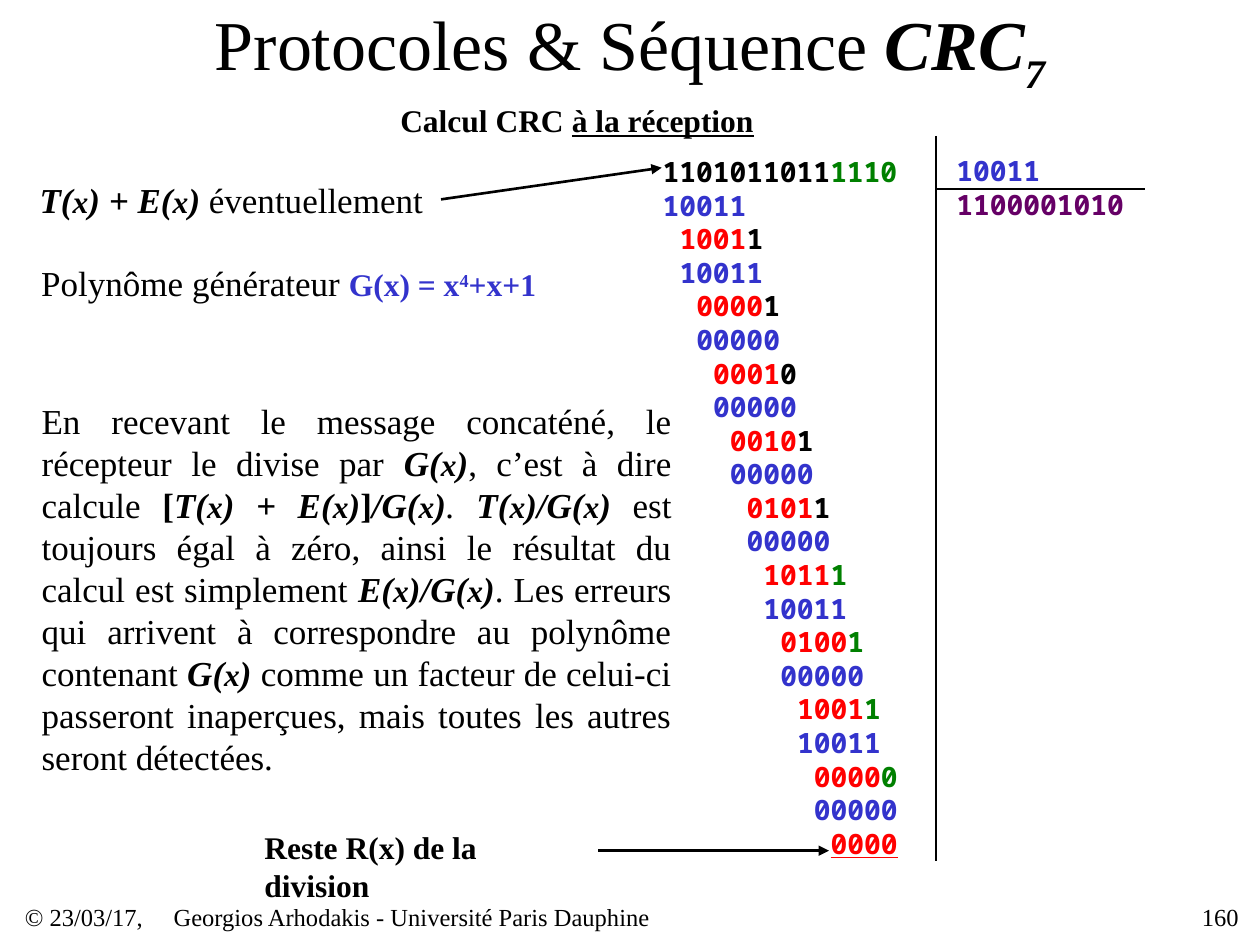
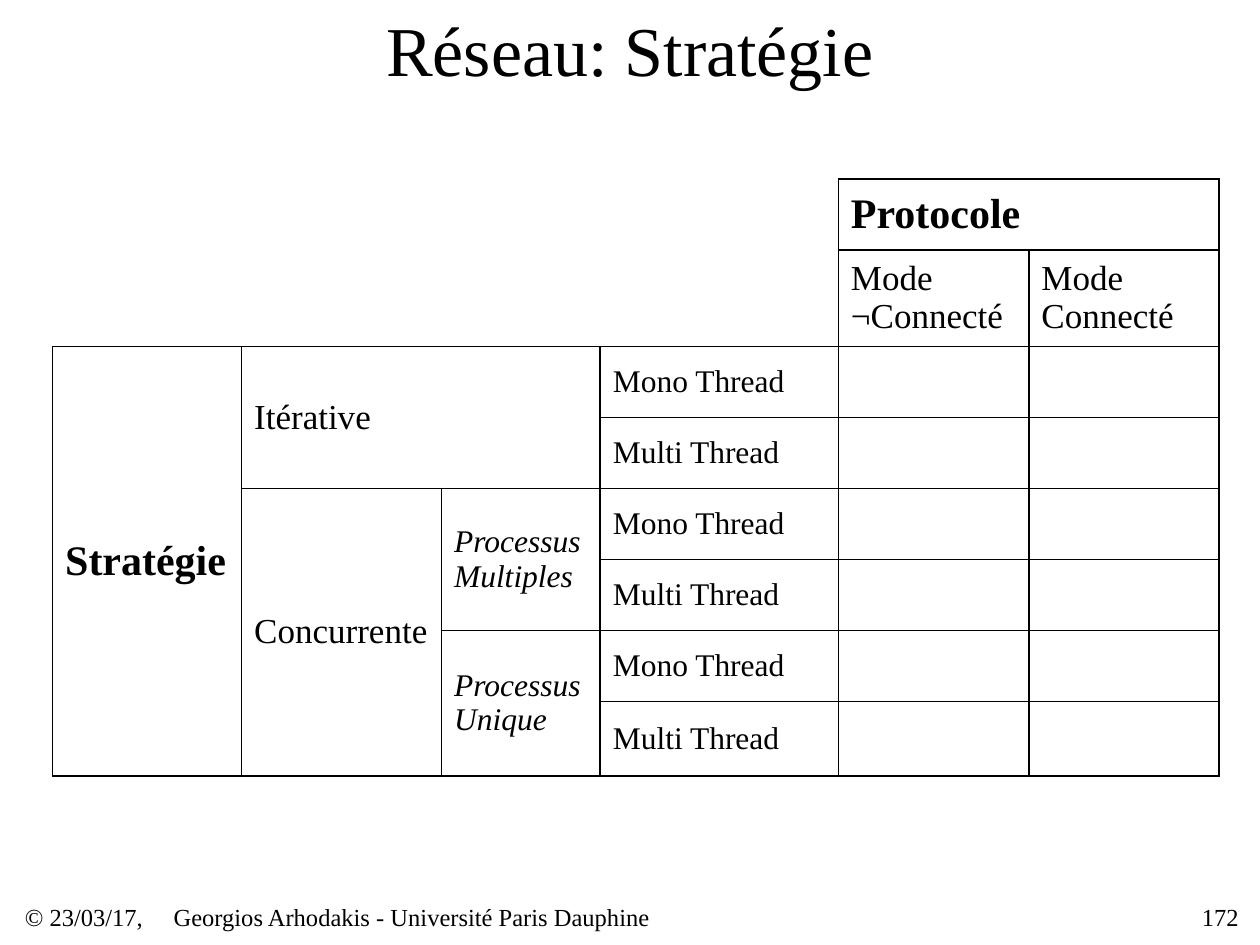
from lxml.etree import SubElement
from pptx import Presentation
from pptx.dml.color import RGBColor
from pptx.enum.shapes import MSO_CONNECTOR
from pptx.enum.text import MSO_ANCHOR, MSO_AUTO_SIZE, PP_ALIGN
from pptx.oxml.ns import qn
from pptx.util import Cm, Pt

SERIF, MONO = "Times New Roman", "Noto Sans Mono"
BLACK, BLUE, RED, GREEN, PURPLE = "000000", "3333CC", "FF0000", "008000", "660066"
MONO_SIZE = 16
MONO_CHARACTER = 0.6 * MONO_SIZE
BOLD = {"bold": True}
MATH = {"bold": True, "italic": True}


def color(value):
    return RGBColor.from_string(value)


def formula(expression):
    """Split an expression into bold italic runs with a smaller x."""
    runs = []
    for index, part in enumerate(expression.split("x")):
        if index:
            runs.append(("x", {**MATH, "size": 18}))
        runs.append((part, MATH))
    return runs


class Deck:
    """Holds the shared style and the slide being filled."""

    def __init__(self):
        self.presentation = Presentation()
        self.presentation.slide_width = Cm(25.4)
        self.presentation.slide_height = Cm(19.05)
        self.slide = None

    def start_slide(self, title_runs, number):
        self.slide = self.presentation.slides.add_slide(self.presentation.slide_layouts[6])
        self.text((1.9, 0, 21.6, 1.96), [title_runs], size=40, align=PP_ALIGN.CENTER,
                  anchor=MSO_ANCHOR.MIDDLE, margins=(0.25, 0.13))
        author = "Georgios Arhodakis - Université Paris Dauphine"
        for left, width, words, align in (
                (0.5, 3, "© 23/03/17,", PP_ALIGN.LEFT),
                (3.5, 15, author, PP_ALIGN.LEFT),
                (22.48, 2.49, str(number), PP_ALIGN.RIGHT)):
            self.text((left, 18.18, width, 0.62), [[(words, {})]], size=14, align=align,
                      anchor=MSO_ANCHOR.MIDDLE, grow=False)

    def add_run(self, paragraph, words, size, name=SERIF, fill=BLACK, bold=False,
                italic=False, underline=False, baseline=0):
        run = paragraph.add_run()
        run.text = words
        font = run.font
        font.size, font.name, font.bold, font.italic = Pt(size), name, bold, italic
        font.color.rgb = color(fill)
        if underline:
            font.underline = True
        if baseline:
            run._r.get_or_add_rPr().set("baseline", str(baseline * 1000))

    def text(self, box, paragraphs, size=20, name=SERIF, align=PP_ALIGN.LEFT,
             anchor=MSO_ANCHOR.TOP, margins=(0, 0), wrap=True, grow=True,
             spacing=None, indents=None):
        """Add a text box; each paragraph is a list of (words, style) runs."""
        frame = self.slide.shapes.add_textbox(*map(Cm, box)).text_frame
        frame.word_wrap = wrap
        frame.vertical_anchor = anchor
        frame.auto_size = MSO_AUTO_SIZE.SHAPE_TO_FIT_TEXT if grow else MSO_AUTO_SIZE.NONE
        frame.margin_left = frame.margin_right = Cm(margins[0])
        frame.margin_top = frame.margin_bottom = Cm(margins[1])
        for index, runs in enumerate(paragraphs):
            paragraph = frame.add_paragraph() if index else frame.paragraphs[0]
            paragraph.alignment = align
            if spacing:
                paragraph.line_spacing = Pt(spacing)
            if indents:
                paragraph._p.get_or_add_pPr().set("marL", str(Pt(indents[index])))
            for words, style in runs:
                self.add_run(paragraph, words, **{"size": size, "name": name, **style})

    def label(self, box, runs):
        self.text(box, [runs], size=18, margins=(0.25, 0.13), wrap=False)

    def statement(self, box, runs, **options):
        options = {"align": PP_ALIGN.CENTER, **options}
        self.text(box, [runs], anchor=MSO_ANCHOR.MIDDLE, **options)

    def digits(self, box, rows, indents=None):
        self.text(box, rows, size=MONO_SIZE, name=MONO, anchor=MSO_ANCHOR.MIDDLE,
                  spacing=1.2 * MONO_SIZE, indents=indents)

    def line(self, start, end, width=1, arrow=False):
        connector = self.slide.shapes.add_connector(
            MSO_CONNECTOR.STRAIGHT, *map(Cm, start + end))
        connector.line.color.rgb = color(BLACK)
        connector.line.width = Pt(width)
        if arrow:
            SubElement(connector.line._get_or_add_ln(), qn("a:tailEnd"), type="triangle")
        SubElement(connector._element.spPr, qn("a:effectLst"))

    def table(self, left, top, widths, heights):
        frame = self.slide.shapes.add_table(
            len(heights), len(widths), Cm(left), Cm(top), Cm(sum(widths)), Cm(sum(heights)))
        table = frame.table
        table.first_row = table.horz_banding = False
        for column, width in zip(table.columns, widths):
            column.width = Cm(width)
        for row, height in zip(table.rows, heights):
            row.height = Cm(height)
        return table

    def cell_borders(self, cell, sides):
        """Draw the named sides (L, R, T, B) and clear the others and the fill."""
        properties = cell._tc.get_or_add_tcPr()
        for side in "LRTB":
            border = SubElement(properties, qn(f"a:ln{side}"), w=str(Pt(1)))
            if side in sides:
                fill = SubElement(border, qn("a:solidFill"))
                SubElement(fill, qn("a:srgbClr"), val=BLACK)
            else:
                SubElement(border, qn("a:noFill"))
        cell.fill.background()

    def cell_text(self, cell, words, size, **style):
        cell.vertical_anchor = MSO_ANCHOR.MIDDLE
        paragraph = cell.text_frame.paragraphs[0]
        paragraph.line_spacing = Pt(round(1.09 * size, 1))
        self.add_run(paragraph, words, size, **style)


def divide(message, check, generator):
    """Return the rows of the long division, their indents and the quotient."""
    bits, length = message + check, len(generator)
    rows = [[(message, {**BOLD}), (check, {**BOLD, "fill": GREEN})]]
    indents, quotient, current = [0], "", bits[:length]
    for step in range(len(bits) - length + 1):
        quotient += current[0]
        subtracted = generator if current[0] == "1" else "0" * length
        rows.append([(subtracted, {**BOLD, "fill": BLUE})])
        rest = "".join(str(int(a != b)) for a, b in zip(current, subtracted))[1:]
        position = step + length
        next_bit = bits[position:position + 1]
        row = [(rest, {**BOLD, "fill": RED, "underline": not next_bit})]
        if next_bit:
            row.append((next_bit, {**BOLD, "fill": BLACK if position < len(message) else GREEN}))
        rows.append(row)
        indents += [step, step + 1]
        current = rest + next_bit
    return rows, [indent * MONO_CHARACTER for indent in indents], quotient


def build_crc_slide(deck):
    deck.start_slide([("Protocoles & Séquence ", {}), ("CRC", MATH),
                      ("7", {**MATH, "baseline": -25})], 160)
    deck.label((7.82, 1.9, 7.65, 1.02),
               [("Calcul CRC ", BOLD), ("à la réception", {**BOLD, "underline": True})])
    generator_style = {**BOLD, "size": 18, "fill": BLUE}
    deck.statement((0.64, 5.28, 10.36, 0.84), [
        ("Polynôme générateur ", {}), ("G(x) = x", generator_style),
        ("4", {**generator_style, "baseline": 30}), ("+x+1", generator_style)])

    generator = "10011"
    rows, indents, quotient = divide("1101011011", "1110", generator)
    deck.digits((13.36, 3.1, 5.26, 14.25), rows, indents)
    deck.digits((19.28, 3.1, 5.26, 1.35), [[(generator, {**BOLD, "fill": BLUE})],
                                           [(quotient, {**BOLD, "fill": PURPLE})]])
    deck.line((18.87, 2.74), (18.87, 17.35))
    deck.line((18.87, 3.81), (23.09, 3.81))

    deck.label((5.08, 16.56, 7.06, 1.02), [("Reste R(x) de la division", BOLD)])
    deck.line((12.06, 17.15), (16.71, 17.15), 1.5, arrow=True)
    deck.statement((0.64, 3.6, 8.05, 0.84),
                   formula("T(x) + E(x)") + [(" éventuellement", {})])
    deck.line((8.89, 4.02), (13.34, 3.38), 1.5, arrow=True)
    deck.statement((0.84, 8.05, 12.7, 7.62), [
        ("En recevant le message concaténé, le récepteur le divise par ", {}),
        *formula("G(x)"), (", c’est à dire calcule ", {}),
        ("[", BOLD), *formula("T(x) + E(x)"), ("]", BOLD), *formula("/G(x)"),
        (". ", {"italic": True}), *formula("T(x)/G(x)"),
        (" est toujours égal à zéro, ainsi le résultat du calcul est simplement ", {}),
        *formula("E(x)/G(x)"),
        (". Les erreurs qui arrivent à correspondre au polynôme contenant ", {}),
        *formula("G(x)"),
        (" comme un facteur de celui-ci passeront inaperçues, mais toutes les autres "
         "seront détectées.", {})], align=PP_ALIGN.JUSTIFY, spacing=24)


def build_strategy_slide(deck):
    deck.start_slide([("Réseau: Stratégie", {})], 172)
    header_rows, label_columns = 2, 4
    widths = [3.81, 4.03, 3.2, 4.8, 3.84, 3.83]
    heights = [1.43, 1.95] + [1.43] * 5 + [1.5]
    table = deck.table(1.06, 3.61, widths, heights)

    for row in range(len(heights)):
        for column in range(len(widths)):
            sides = "LRTB"
            if row < header_rows and column < label_columns:
                sides = ("R" if column == label_columns - 1 else "") + (
                    "B" if row == header_rows - 1 else "")
            deck.cell_borders(table.cell(row, column), sides)

    # row, column, rows spanned, columns spanned, words, size, style
    headings = [
        (0, 4, 1, 2, "Protocole", 24, BOLD),
        (1, 4, 1, 1, "Mode ¬Connecté", 20, {}),
        (1, 5, 1, 1, "Mode Connecté", 20, {}),
        (2, 0, 6, 1, "Stratégie", 24, BOLD),
        (2, 1, 2, 2, "Itérative", 20, {}),
        (4, 1, 4, 1, "Concurrente", 20, {}),
        (4, 2, 2, 1, "Processus Multiples", 18, {"italic": True}),
        (6, 2, 2, 1, "Processus Unique", 18, {"italic": True}),
    ]
    for row in range(header_rows, len(heights)):
        words = "Multi Thread" if row % 2 else "Mono Thread"
        headings.append((row, 3, 1, 1, words, 18, {}))
    for row, column, row_span, column_span, words, size, style in headings:
        cell = table.cell(row, column)
        if row_span * column_span > 1:
            cell.merge(table.cell(row + row_span - 1, column + column_span - 1))
        deck.cell_text(cell, words, size, **style)


def main():
    deck = Deck()
    build_crc_slide(deck)
    build_strategy_slide(deck)
    deck.presentation.save("out.pptx")


if __name__ == "__main__":
    main()
